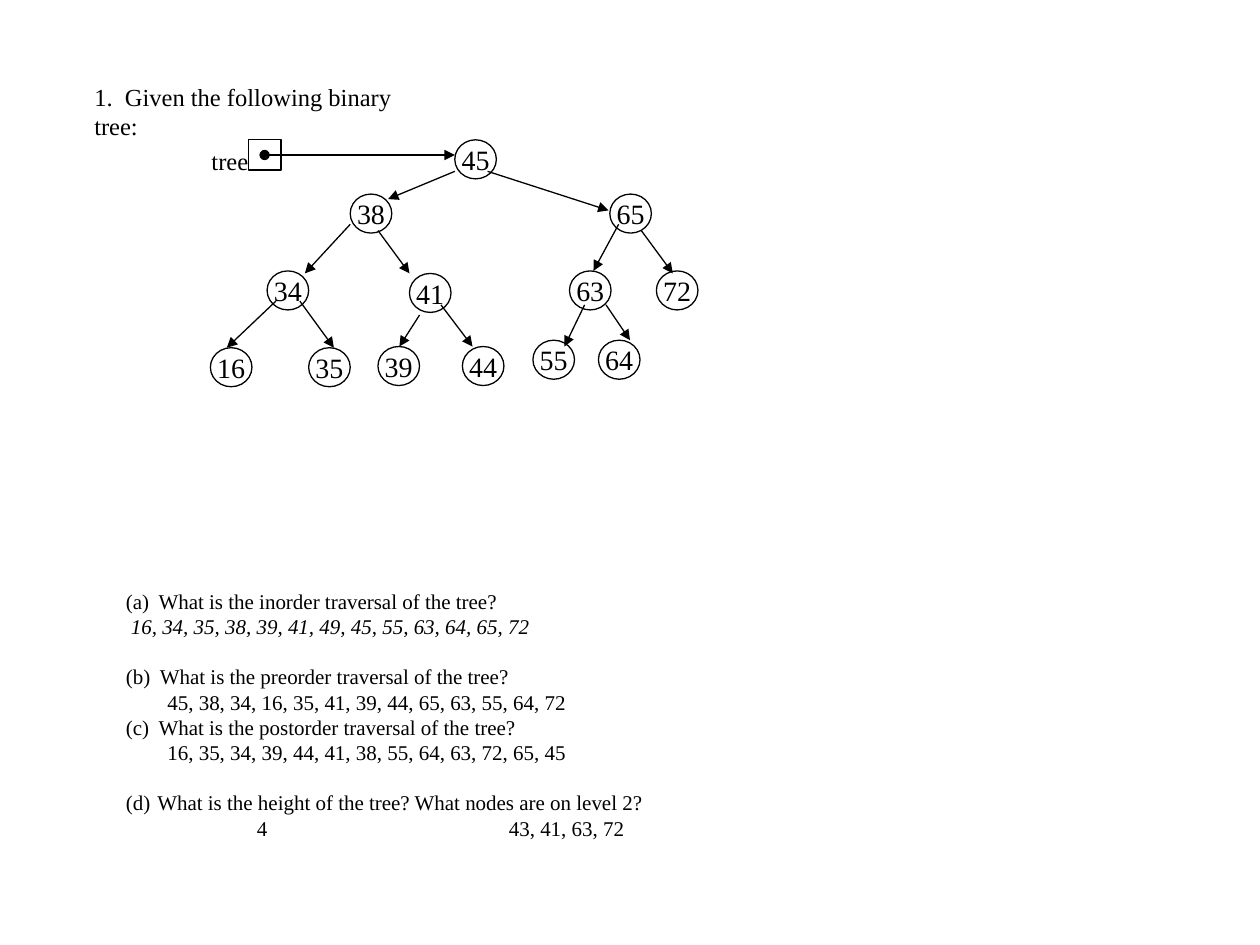
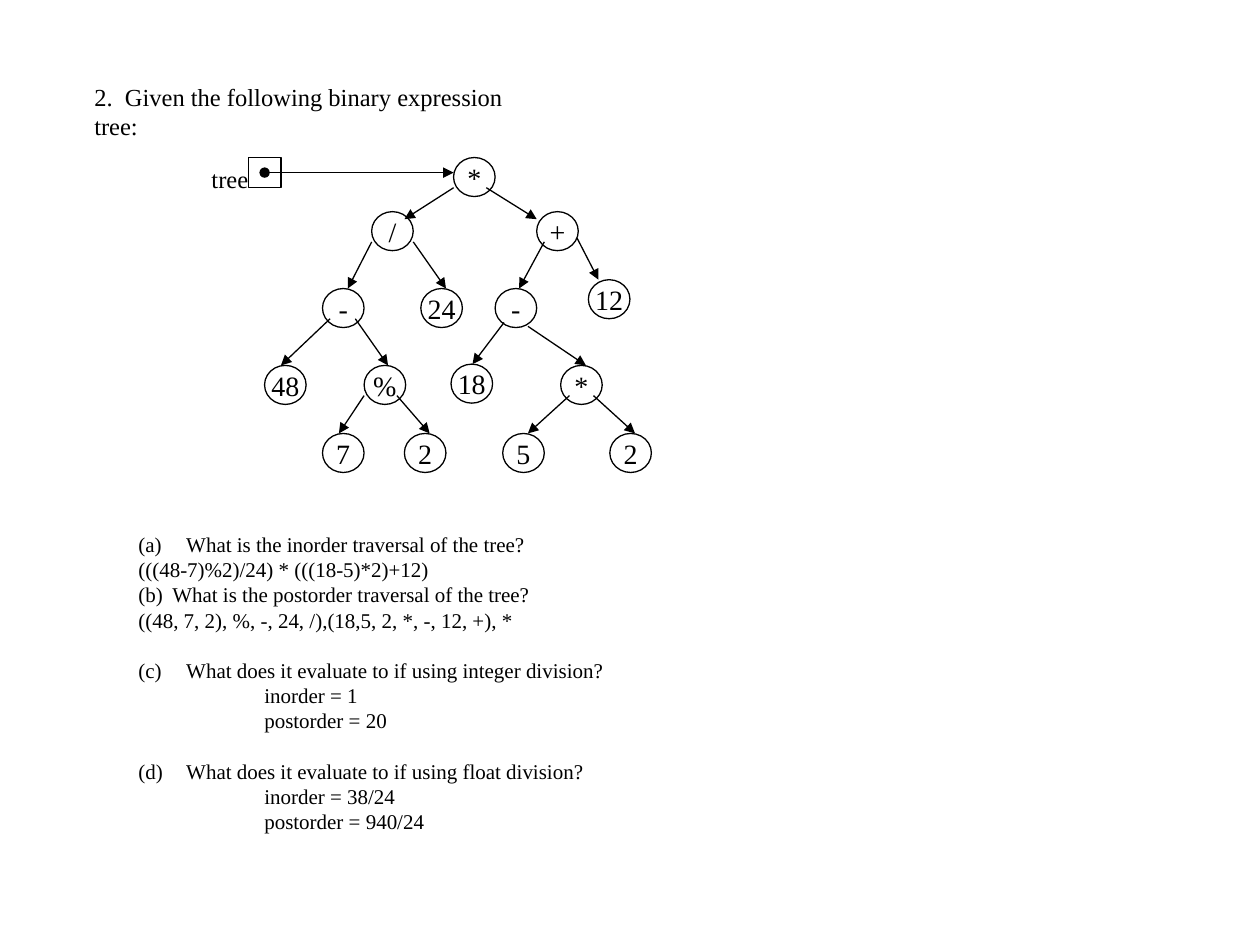
from dataclasses import dataclass
from lxml import etree
from pptx import Presentation
from pptx.dml.color import RGBColor
from pptx.enum.shapes import MSO_CONNECTOR, MSO_SHAPE
from pptx.enum.text import MSO_ANCHOR, PP_ALIGN
from pptx.oxml.ns import qn
from pptx.util import Inches, Pt


@dataclass(frozen=True)
class Theme:
    ink: RGBColor = RGBColor(0, 0, 0)
    font: str = "Times New Roman"
    title: Pt = Pt(14)
    node: Pt = Pt(16)
    body: Pt = Pt(12)
    gap: Pt = Pt(14.4)
    line: Pt = Pt(0.75)


theme = Theme()
NODE_W, NODE_H = 0.33, 0.31
BOX_X, BOX_W, BOX_H = 1.97, 0.26, 0.24

slides = [
    {
        "title": "1.  Given the following binary tree:",
        "title_w": 2.9,
        "nodes": [
            ("45", 3.61, 1.11),
            ("38", 2.78, 1.54), ("65", 4.84, 1.54),
            ("34", 2.12, 2.15), ("41", 3.25, 2.17), ("63", 4.52, 2.15), ("72", 5.21, 2.15),
            ("16", 1.67, 2.76), ("35", 2.45, 2.76), ("39", 3.0, 2.75), ("44", 3.67, 2.75),
            ("55", 4.23, 2.7), ("64", 4.75, 2.7),
        ],
        "edges": [
            (3.61, 1.36, 3.08, 1.58), (3.87, 1.36, 4.83, 1.67),
            (2.78, 1.78, 2.42, 2.17), (3.0, 1.83, 3.25, 2.17),
            (4.91, 1.78, 4.71, 2.15), (5.09, 1.83, 5.34, 2.17),
            (2.19, 2.39, 1.8, 2.76), (2.38, 2.39, 2.65, 2.76),
            (3.33, 2.5, 3.17, 2.75), (3.5, 2.42, 3.75, 2.75),
            (4.64, 2.42, 4.48, 2.75), (4.81, 2.42, 5.0, 2.7),
        ],
        "body": (0.9, 4.62, 4.45, 2.12),
        "questions": [
            ("What is the inorder traversal of the tree?", 0.26, 0.04, False,
             ["16, 34, 35, 38, 39, 41, 49, 45, 55, 63, 64, 65, 72"]),
            ("What is the preorder traversal of the tree?", 0.27, 0.33, True,
             ["45, 38, 34, 16, 35, 41, 39, 44, 65, 63, 55, 64, 72"]),
            ("What is the postorder traversal of the tree?", 0.26, 0.33, False,
             ["16, 35, 34, 39, 44, 41, 38, 55, 64, 63, 72, 65, 45"]),
            ("What is the height of the tree? What nodes are on level 2?", 0.25, 0, True,
             ["\t4\t43, 41, 63, 72"]),
        ],
        "italic": 0,
    },
    {
        "title": "2.  Given the following binary expression tree:",
        "title_w": 3.8,
        "nodes": [
            ("*", 3.6, 1.25),
            ("/", 2.95, 1.68), ("+", 4.26, 1.68),
            ("-", 2.56, 2.29), ("24", 3.34, 2.29), ("-", 3.93, 2.29), ("12", 4.67, 2.22),
            ("48", 2.1, 2.9), ("%", 2.89, 2.9), ("18", 3.58, 2.89), ("*", 4.45, 2.9),
            ("7", 2.56, 3.44), ("2", 3.21, 3.44), ("5", 3.99, 3.44), ("2", 4.84, 3.44),
        ],
        "edges": [
            (3.6, 1.49, 3.21, 1.74), (3.86, 1.49, 4.26, 1.74),
            (2.95, 1.92, 2.76, 2.29), (3.28, 1.92, 3.54, 2.29),
            (4.32, 1.92, 4.12, 2.29), (4.58, 1.89, 4.75, 2.22),
            (2.62, 2.53, 2.23, 2.9), (2.82, 2.53, 3.08, 2.9),
            (4.0, 2.56, 3.75, 2.89), (4.19, 2.59, 4.65, 2.9),
            (2.89, 3.14, 2.69, 3.44), (3.15, 3.14, 3.41, 3.44),
            (4.52, 3.14, 4.19, 3.44), (4.71, 3.14, 5.04, 3.44),
        ],
        "body": (1.0, 4.17, 3.94, 2.73),
        "questions": [
            ("What is the inorder traversal of the tree?", 0.38, 0, False,
             ["(((48-7)%2)/24) * (((18-5)*2)+12)"]),
            ("What is the postorder traversal of the tree?", 0.27, 0, False,
             ["((48, 7, 2), %, -, 24, /),(18,5, 2, *, -, 12, +), *"]),
            ("What does it evaluate to if using integer division?", 0.38, 1, True,
             ["inorder = 1", "postorder = 20"]),
            ("What does it evaluate to if using float division?", 0.38, 1, True,
             ["inorder = 38/24", "postorder = 940/24"]),
        ],
        "italic": None,
    },
]


def add_text(s, box, lines, size, wrap=True):
    sp = s.shapes.add_textbox(*[Inches(v) for v in box])
    tf = sp.text_frame
    tf.word_wrap = wrap
    tf.text = "\n".join(lines)
    for p in tf.paragraphs:
        for r in p.runs:
            r.font.size, r.font.name = size, theme.font
            r.font.color.rgb = theme.ink
    return tf


def add_arrow(s, ends, head=None):
    cx = s.shapes.add_connector(MSO_CONNECTOR.STRAIGHT, *[Inches(v) for v in ends])
    cx.line.color.rgb, cx.line.width = theme.ink, theme.line
    ln = cx.line._get_or_add_ln()
    if head:
        etree.SubElement(ln, qn("a:headEnd"), type=head)
    etree.SubElement(ln, qn("a:tailEnd"), type="triangle")
    etree.SubElement(cx._element.spPr, qn("a:effectLst"))


prs = Presentation()
prs.slide_width, prs.slide_height = Inches(10), Inches(7.5)

for page in slides:
    s = prs.slides.add_slide(prs.slide_layouts[6])
    add_text(s, (0.65, 0.6, page["title_w"], 0.33), [page["title"]], theme.title)

    root_x, root_y = page["nodes"][0][1:]
    outlines = [(MSO_SHAPE.OVAL, text, x, y, NODE_W, NODE_H) for text, x, y in page["nodes"]]
    outlines.append((MSO_SHAPE.RECTANGLE, "", BOX_X, root_y, BOX_W, BOX_H))
    for kind, text, x, y, w, h in outlines:
        sp = s.shapes.add_shape(kind, Inches(x), Inches(y), Inches(w), Inches(h))
        sp.shadow.inherit = False
        sp.fill.background()
        sp.line.color.rgb, sp.line.width = theme.ink, theme.line
        tf = sp.text_frame
        tf.word_wrap = False
        tf.vertical_anchor = MSO_ANCHOR.MIDDLE
        tf.text = text
        p = tf.paragraphs[0]
        p.alignment = PP_ALIGN.CENTER
        for r in p.runs:
            r.font.size, r.font.name = theme.node, theme.font
            r.font.color.rgb = theme.ink

    add_text(s, (1.58, root_y, 0.49, 0.33), ["tree"], theme.title, wrap=False)
    pointer_y = root_y + BOX_H / 2
    add_arrow(s, (BOX_X + BOX_W / 2, pointer_y, root_x, pointer_y), head="oval")
    for ends in page["edges"]:
        add_arrow(s, ends)

    lines = [t for q, hang, left, gap, answers in page["questions"] for t in (q, *answers)]
    tf = add_text(s, page["body"], lines, theme.body)
    paragraphs = iter(tf.paragraphs)
    for i, (question, hang, left, gap, answers) in enumerate(page["questions"]):
        p = next(paragraphs)
        if gap:
            p.space_before = theme.gap
        pPr = p._p.get_or_add_pPr()
        pPr.set("marL", str(Inches(hang)))
        pPr.set("indent", str(-Inches(hang)))
        etree.SubElement(pPr, qn("a:buAutoNum"), type="alphaLcParenBoth", startAt=str(i + 1))
        for answer in answers:
            p = next(paragraphs)
            pPr = p._p.get_or_add_pPr()
            pPr.set("marL", str(Inches(left)))
            if "\t" in answer:
                tabs = etree.SubElement(pPr, qn("a:tabLst"))
                for stop in (1.04, 3.04):
                    etree.SubElement(tabs, qn("a:tab"), pos=str(Inches(stop)), algn="l")
            if i == page["italic"]:
                p.runs[0].font.italic = True

prs.save("out.pptx")
